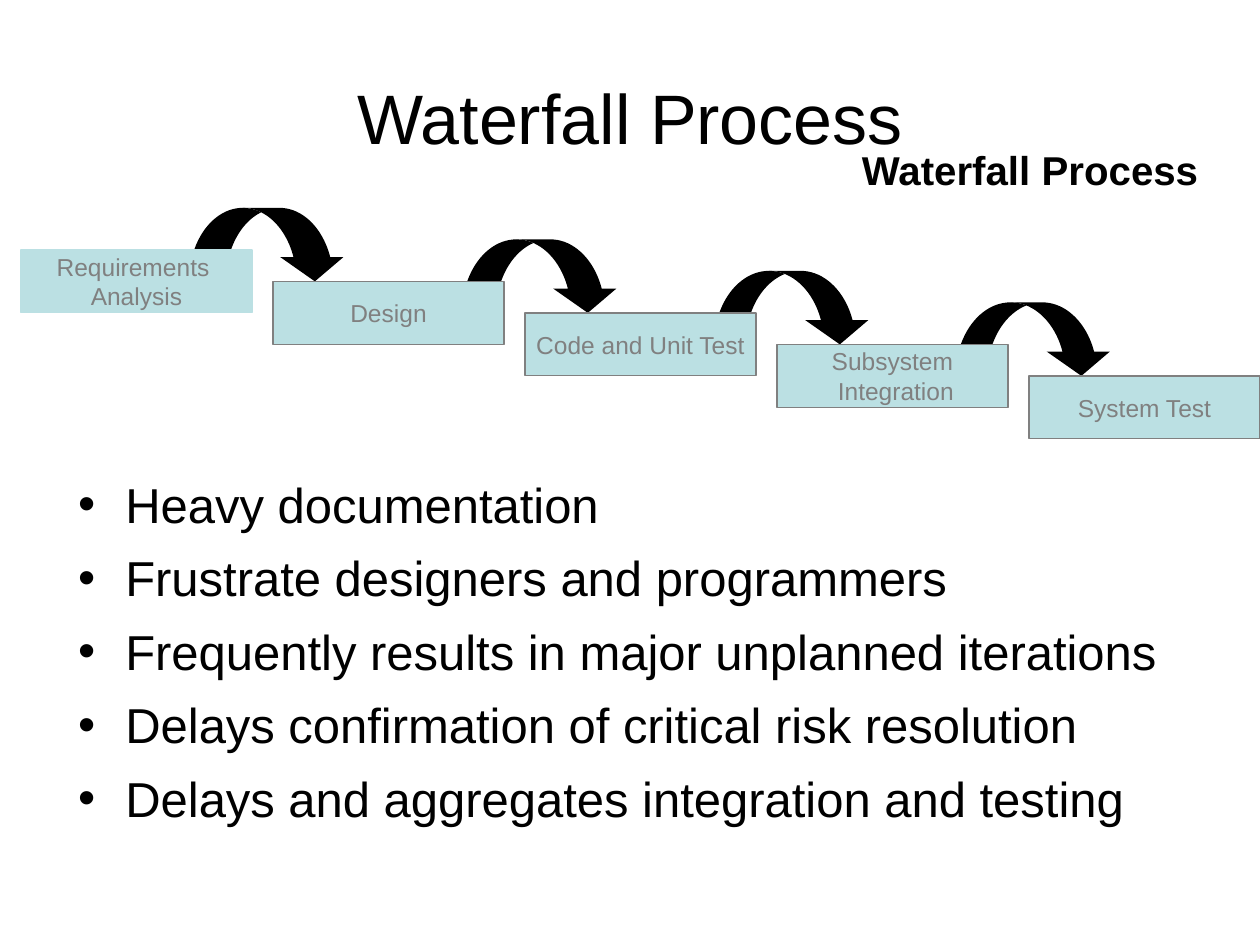
from lxml import etree
from pptx import Presentation
from pptx.dml.color import RGBColor
from pptx.enum.shapes import MSO_SHAPE
from pptx.enum.text import MSO_ANCHOR, PP_ALIGN
from pptx.oxml.ns import qn
from pptx.util import Pt

RECTANGLE = MSO_SHAPE.RECTANGLE
CURVED_ARROW = MSO_SHAPE.CURVED_DOWN_ARROW
TOP, MIDDLE = MSO_ANCHOR.TOP, MSO_ANCHOR.MIDDLE
LEFT, CENTER = PP_ALIGN.LEFT, PP_ALIGN.CENTER

FONT = "Arial"
COLORS = {"text": "000000", "label": "808080", "step": "BBE0E3", "edge": "808080"}

STEPS = [
    ["Requirements ", "Analysis"],
    ["Design"],
    ["Code and Unit Test"],
    ["Subsystem", " Integration"],
    ["System Test"],
]
ARROWS = [(96, 0.5), (252, 0.46), (396, 0.43), (534, 0.43)]
DRAWBACKS = [
    "Heavy documentation",
    "Frustrate designers and programmers",
    "Frequently results in major unplanned iterations",
    "Delays confirmation of critical risk resolution",
    "Delays and aggregates integration and testing",
]


def color(name):
    return RGBColor.from_string(COLORS[name])


def set_frame(frame, anchor, wrap, side, top):
    frame.word_wrap = wrap
    frame.vertical_anchor = anchor
    frame.margin_left = frame.margin_right = Pt(side)
    frame.margin_top = frame.margin_bottom = Pt(top)


def write_lines(frame, lines, size, tint, align, bold=False):
    for index, line in enumerate(lines):
        para = frame.add_paragraph() if index else frame.paragraphs[0]
        para.alignment = align
        span = para.add_run()
        span.text = line
        span.font.name = FONT
        span.font.size = Pt(size)
        span.font.bold = bold
        span.font.color.rgb = color(tint)


def add_bullet(para, indent):
    properties = para._p.get_or_add_pPr()
    properties.set("marL", str(Pt(indent)))
    properties.set("indent", str(-Pt(indent)))
    tint = etree.SubElement(properties, qn("a:buClr"))
    etree.SubElement(tint, qn("a:srgbClr"), val=COLORS["text"])
    etree.SubElement(properties, qn("a:buFont"), typeface=FONT)
    etree.SubElement(properties, qn("a:buChar"), char="•")


def add_heading(page, left, top, width, height):
    box = page.shapes.add_textbox(Pt(left), Pt(top), Pt(width), Pt(height))
    set_frame(box.text_frame, MIDDLE, True, 7.2, 3.6)
    write_lines(box.text_frame, ["Waterfall Process"], 40, "text", CENTER)


def add_caption(page, left, top, width, height):
    box = page.shapes.add_textbox(Pt(left), Pt(top), Pt(width), Pt(height))
    set_frame(box.text_frame, TOP, False, 6.5, 3.6)
    write_lines(box.text_frame, ["Waterfall Process"], 23, "text", LEFT, True)
    box.text_frame.paragraphs[0].line_spacing = 0.9


def add_arrow(page, left, top, width, height, thickness):
    arrow = page.shapes.add_shape(CURVED_ARROW, Pt(left), Pt(top), Pt(width), Pt(height))
    arrow.shadow.inherit = False
    arrow.fill.solid()
    arrow.fill.fore_color.rgb = color("text")
    arrow.line.fill.background()
    for index, value in enumerate((thickness, 0.86, 0.33)):
        arrow.adjustments[index] = value


def add_step(page, left, top, width, height, lines, edge):
    step = page.shapes.add_shape(RECTANGLE, Pt(left), Pt(top), Pt(width), Pt(height))
    step.shadow.inherit = False
    step.fill.solid()
    step.fill.fore_color.rgb = color("step")
    step.line.color.rgb = color(edge)
    step.line.width = Pt(0.75)
    set_frame(step.text_frame, MIDDLE, False, 7.2, 3.6)
    write_lines(step.text_frame, lines, 14, "label", CENTER)


def add_waterfall(page, left, top, width, height):
    step_width, step_height, arrow_height = 132, 36, 42
    across = (width - step_width) / (len(STEPS) - 1)
    down = (height - step_height - arrow_height + 18) / (len(STEPS) - 1)
    for index, (offset, thickness) in reversed(list(enumerate(ARROWS))):
        add_arrow(page, left + offset, top + index * down, 90, arrow_height, thickness)
    first_top = top + arrow_height - down
    for index, lines in enumerate(STEPS):
        edge = "edge" if index else "step"
        add_step(page, left + index * across, first_top + index * down,
                 step_width, step_height, lines, edge)


def add_drawbacks(page, left, top, width, height):
    box = page.shapes.add_textbox(Pt(left), Pt(top), Pt(width), Pt(height))
    set_frame(box.text_frame, TOP, True, 8.64, 7)
    write_lines(box.text_frame, DRAWBACKS, 28, "text", LEFT)
    for index, para in enumerate(box.text_frame.paragraphs):
        if index:
            para.space_before = Pt(8.4)
        add_bullet(para, 27)


def main():
    deck = Presentation()
    deck.slide_width, deck.slide_height = Pt(720), Pt(540)
    page = deck.slides.add_slide(deck.slide_layouts[6])
    add_heading(page, 36, 21.6, 648, 90)
    add_waterfall(page, 12, 118.8, 708, 132)
    add_caption(page, 486, 82.8, 207, 32)
    add_drawbacks(page, 36, 264, 654, 229)
    deck.save("out.pptx")


if __name__ == "__main__":
    main()
